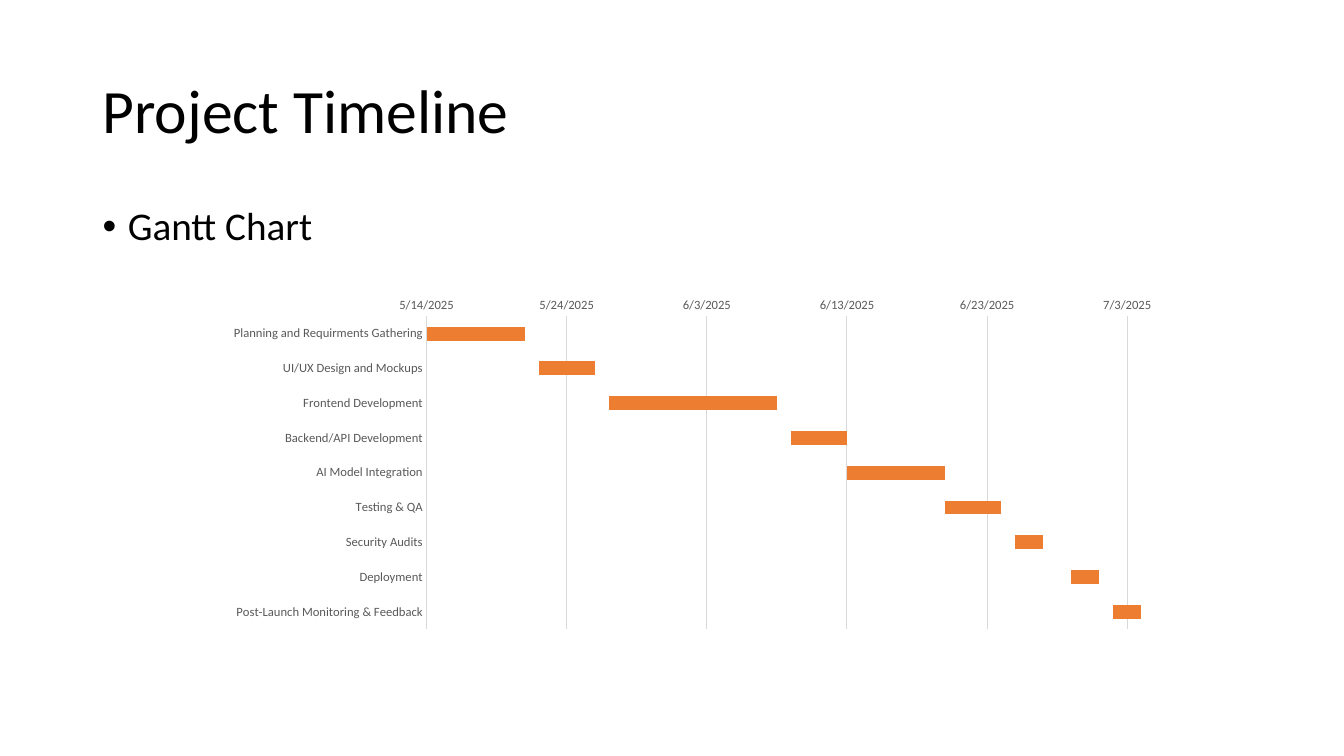
from lxml.etree import SubElement
from pptx import Presentation
from pptx.chart.data import CategoryChartData
from pptx.dml.color import RGBColor
from pptx.enum.chart import XL_CHART_TYPE as ChartType, XL_TICK_MARK as TickMark
from pptx.enum.text import MSO_ANCHOR as Anchor
from pptx.oxml import parse_xml
from pptx.oxml.ns import nsdecls, qn
from pptx.util import Inches, Pt

FONT = "Calibri"
COLORS = {"text": "000000", "label": "595959", "grid": "D9D9D9", "bar": "ED7D31"}
SLIDE_WIDTH, SLIDE_HEIGHT = Inches(13.33), Inches(7.5)
LEFT_MARGIN, CONTENT_WIDTH = 0.069, 0.863
FIRST_DAY, LAST_DAY, DAY_STEP = 45791, 45842, 10
PLOT_AREA = {"x": 0.21, "y": 0.07, "w": 0.74, "h": 0.87}
TASKS = [
    ("Planning and Requirments Gathering", 45791, 7),
    ("UI/UX Design and Mockups", 45799, 4),
    ("Frontend Development", 45804, 12),
    ("Backend/API Development", 45817, 4),
    ("AI Model Integration", 45821, 7),
    ("Testing & QA", 45828, 4),
    ("Security Audits", 45833, 2),
    ("Deployment", 45837, 2),
    ("Post-Launch Monitoring & Feedback", 45840, 2),
]


def color(name):
    return RGBColor.from_string(COLORS[name])


def place(left, top, width, height):
    return (int(left * SLIDE_WIDTH), int(top * SLIDE_HEIGHT),
            int(width * SLIDE_WIDTH), int(height * SLIDE_HEIGHT))


def style_font(font, size, color_name):
    font.name = FONT
    font.size = Pt(size)
    font.color.rgb = color(color_name)


def add_text(slide, text, box, size, anchor):
    text_frame = slide.shapes.add_textbox(*place(*box)).text_frame
    text_frame.word_wrap = True
    text_frame.vertical_anchor = anchor
    paragraph = text_frame.paragraphs[0]
    paragraph.text = text
    paragraph.line_spacing = 0.9
    style_font(paragraph.runs[0].font, size, "text")
    return paragraph


def add_bullet(paragraph):
    paragraph.space_before = Pt(10)
    properties = paragraph._p.get_or_add_pPr()
    properties.set("marL", str(Inches(0.25)))
    properties.set("indent", str(Inches(-0.25)))
    SubElement(properties, qn("a:buFont"), typeface="Arial")
    SubElement(properties, qn("a:buChar"), char="•")


def set_plot_layout(chart):
    plot_area = chart._chartSpace.chart.plotArea
    for layout in plot_area.findall(qn("c:layout")):
        plot_area.remove(layout)
    modes = '<c:layoutTarget val="inner"/><c:xMode val="edge"/><c:yMode val="edge"/>'
    shares = "".join(f'<c:{key} val="{share}"/>' for key, share in PLOT_AREA.items())
    plot_area.insert(0, parse_xml(
        f'<c:layout {nsdecls("c")}><c:manualLayout>{modes}{shares}</c:manualLayout></c:layout>'))


def style_line(line):
    line.color.rgb = color("grid")
    line.width = Pt(0.75)


def style_axes(chart):
    task_axis, date_axis = chart.category_axis, chart.value_axis
    for axis in (task_axis, date_axis):
        axis.major_tick_mark = axis.minor_tick_mark = TickMark.NONE
        style_font(axis.tick_labels.font, 9, "label")
    task_axis.reverse_order = True
    task_axis.has_major_gridlines = False
    style_line(task_axis.format.line)
    date_axis.minimum_scale, date_axis.maximum_scale = FIRST_DAY, LAST_DAY
    date_axis.major_unit = DAY_STEP
    date_axis.has_major_gridlines = True
    style_line(date_axis.major_gridlines.format.line)
    date_axis.format.line.fill.background()
    date_axis.tick_labels.number_format = "m/d/yyyy"
    date_axis.tick_labels.number_format_is_linked = False


def add_gantt(slide, tasks, box):
    names, starts, durations = zip(*tasks)
    data = CategoryChartData()
    data.categories = names
    data.add_series("Series 1", starts)
    data.add_series("Series 2", durations)
    chart = slide.shapes.add_chart(ChartType.BAR_STACKED, *place(*box), data).chart
    chart.has_title = chart.has_legend = False
    style_font(chart.font, 10, "text")
    plot = chart.plots[0]
    plot.gap_width, plot.overlap = 150, 100
    plot.vary_by_categories = False
    start_series, duration_series = plot.series
    start_series.format.fill.background()
    start_series.format.line.fill.background()
    duration_series.format.fill.solid()
    duration_series.format.fill.fore_color.rgb = color("bar")
    style_axes(chart)
    set_plot_layout(chart)


def main():
    presentation = Presentation()
    presentation.slide_width, presentation.slide_height = SLIDE_WIDTH, SLIDE_HEIGHT
    slide = presentation.slides.add_slide(presentation.slide_layouts[6])
    add_text(slide, "Project Timeline", (LEFT_MARGIN, 0.053, CONTENT_WIDTH, 0.193), 44, Anchor.MIDDLE)
    add_bullet(add_text(slide, "Gantt Chart", (LEFT_MARGIN, 0.267, CONTENT_WIDTH, 0.635), 28, Anchor.TOP))
    add_gantt(slide, TASKS, (0.1665, 0.385, 0.7187, 0.476))
    presentation.save("out.pptx")


if __name__ == "__main__":
    main()
